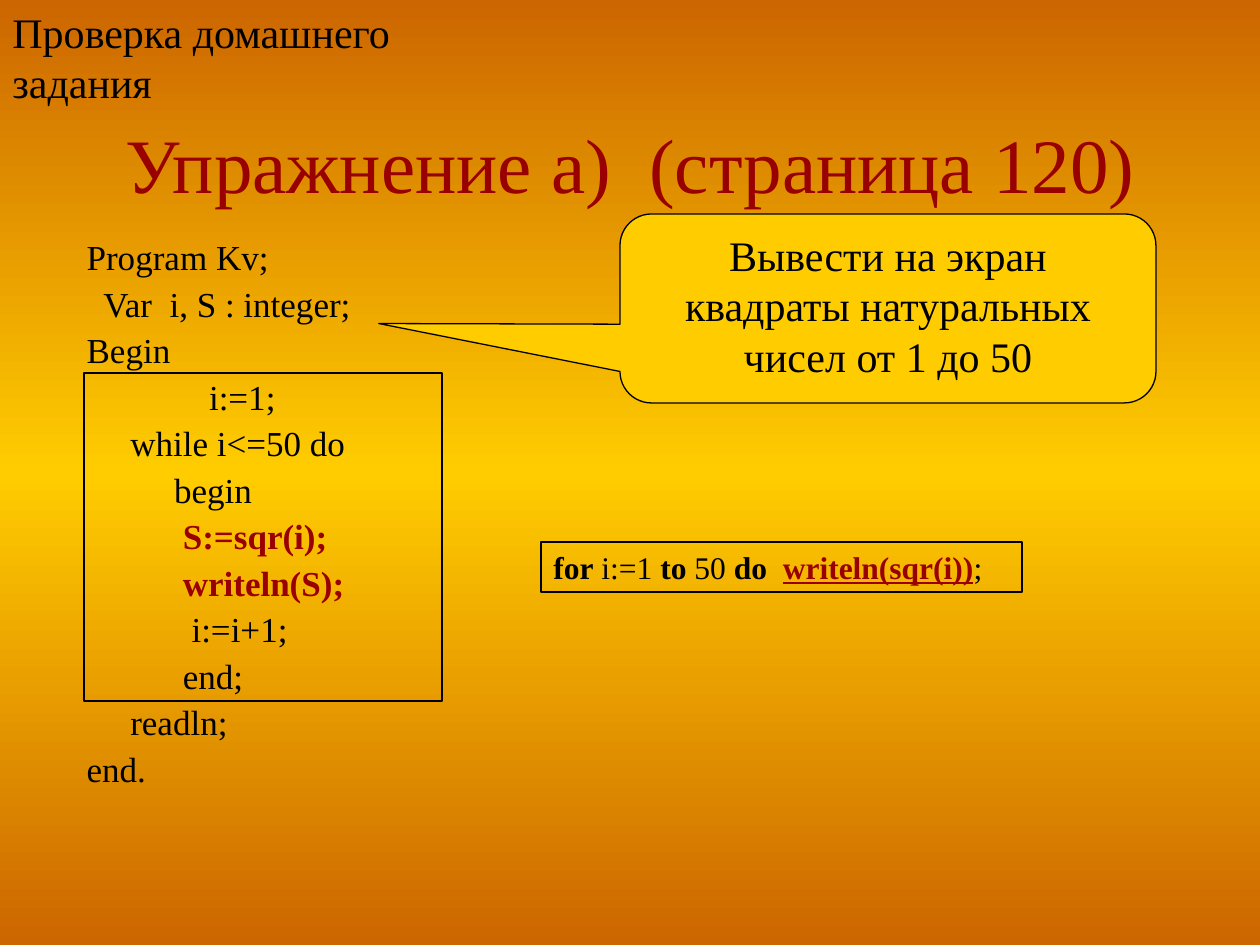
from copy import deepcopy
from lxml.etree import SubElement
from pptx import Presentation
from pptx.dml.color import RGBColor
from pptx.enum.shapes import MSO_SHAPE as SHAPE
from pptx.enum.text import MSO_ANCHOR as ANCHOR, MSO_AUTO_SIZE as AUTO, PP_ALIGN as ALIGN
from pptx.oxml.ns import qn
from pptx.util import Pt

PX = 914400 / 126
BLACK, RED, GOLD, ORANGE = "000000", "990000", "FFCC00", "CC6600"


def rgb(value):
    return RGBColor.from_string(value)


def add_run(p, text, size, color=BLACK, **formats):
    r = p.add_run()
    r.text = text
    r.font.color.rgb = rgb(color)
    for name, value in dict(name="Times New Roman", size=Pt(size), **formats).items():
        setattr(r.font, name, value)


prs = Presentation()
prs.slide_width, prs.slide_height = int(1260 * PX), int(945 * PX)
s = prs.slides.add_slide(prs.slide_layouts[1])

fill = s.background.fill
fill.gradient()
fill.gradient_angle = 90
first = fill.gradient_stops[0]._gs
first.addnext(deepcopy(first))
for stop, position, color in zip(fill.gradient_stops, (0, 0.5, 1), (ORANGE, GOLD, ORANGE)):
    stop.position = position
    stop.color.rgb = rgb(color)

title, body = s.placeholders
heading = s.shapes.add_textbox(0, 0, 0, 0)
callout = s.shapes.add_shape(SHAPE.ROUNDED_RECTANGULAR_CALLOUT, 0, 0, 0, 0)
frame = s.shapes.add_shape(SHAPE.RECTANGLE, 0, 0, 0, 0)
loop_box = s.shapes.add_shape(SHAPE.RECTANGLE, 0, 0, 0, 0)

boxes = [
    (title, (95, 84, 1071, 158), ANCHOR.MIDDLE),
    (body, (74, 234, 437, 586), ANCHOR.TOP),
    (heading, (0, 0, 461, 113), ANCHOR.TOP),
    (callout, (620, 214, 536, 189), ANCHOR.TOP),
    (frame, (84, 373, 358, 328), ANCHOR.TOP),
    (loop_box, (541, 542, 481, 50), ANCHOR.TOP),
]
for sp, place, anchor in boxes:
    for name, value in zip(("left", "top", "width", "height"), place):
        setattr(sp, name, int(value * PX))
    tf = sp.text_frame
    formats = {"word_wrap": True, "auto_size": AUTO.NONE, "vertical_anchor": anchor}
    for name, value in formats.items():
        setattr(tf, name, value)

for sp in (callout, frame, loop_box):
    sp.shadow.inherit = False
    sp.fill.background()
    sp.line.color.rgb = rgb(BLACK)
    sp.line.width = Pt(0.75)
callout.fill.solid()
callout.fill.fore_color.rgb = rgb(GOLD)
for i, value in enumerate((-0.95, 0.08, 0.167)):
    callout.adjustments[i] = value

texts = [
    (title, "Упражнение а)  (страница 120)", 44, RED, ALIGN.CENTER),
    (heading, "Проверка домашнего задания", 24, BLACK, ALIGN.LEFT),
    (callout, "Вывести на экран квадраты натуральных чисел от 1 до 50", 24, BLACK, ALIGN.CENTER),
]
for sp, text, size, color, align in texts:
    p = sp.text_frame.paragraphs[0]
    p.alignment = align
    add_run(p, text, size, color)

code = [
    "Program Kv;",
    "  Var  i, S : integer;",
    "Begin",
    "              i:=1;",
    "     while i<=50 do",
    "          begin",
    "           S:=sqr(i);",
    "           writeln(S);",
    "            i:=i+1;",
    "           end;",
    "     readln;",
    "end.",
]
tf = body.text_frame
for i, line in enumerate(code):
    p = tf.add_paragraph() if i else tf.paragraphs[0]
    pPr = p._p.get_or_add_pPr()
    pPr.set("marL", str(int(47 * PX)))
    pPr.set("indent", str(int(-47 * PX)))
    SubElement(pPr, qn("a:buNone"))
    p.line_spacing = 0.9
    p.space_before = Pt(5 if i else 0)
    marked = "S:=" in line or "(S)" in line
    add_run(p, line, 20, RED if marked else BLACK, bold=marked)

p = loop_box.text_frame.paragraphs[0]
p.alignment = ALIGN.LEFT
loop_runs = [
    ("for", BLACK, True, False),
    (" i:=1", BLACK, False, False),
    (" to", BLACK, True, False),
    (" 50 ", BLACK, False, False),
    ("do  ", BLACK, True, False),
    ("writeln(sqr(i))", RED, True, True),
    (";", BLACK, False, False),
]
for text, color, bold, underline in loop_runs:
    add_run(p, text, 18, color, bold=bold, underline=underline)

prs.save("out.pptx")
